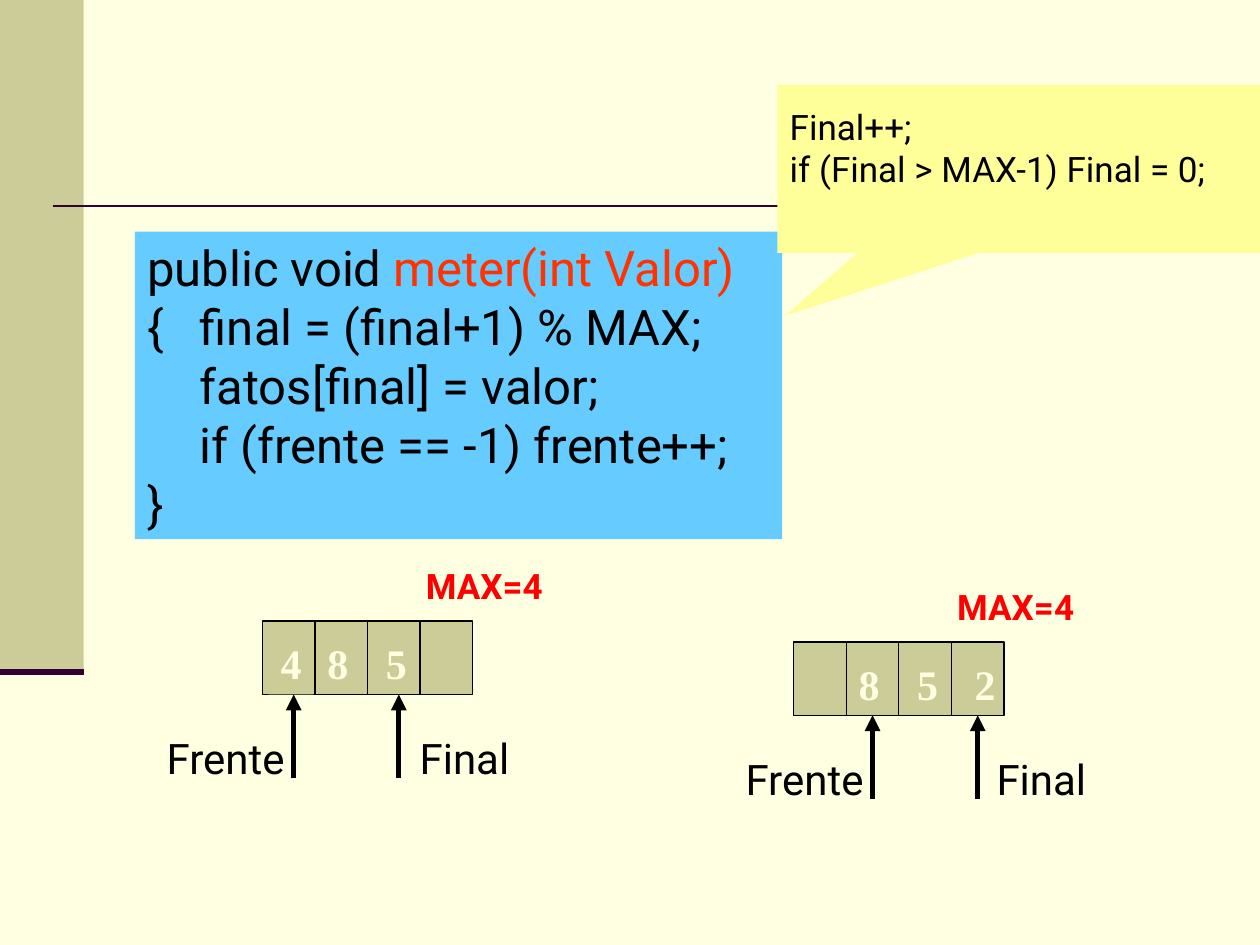
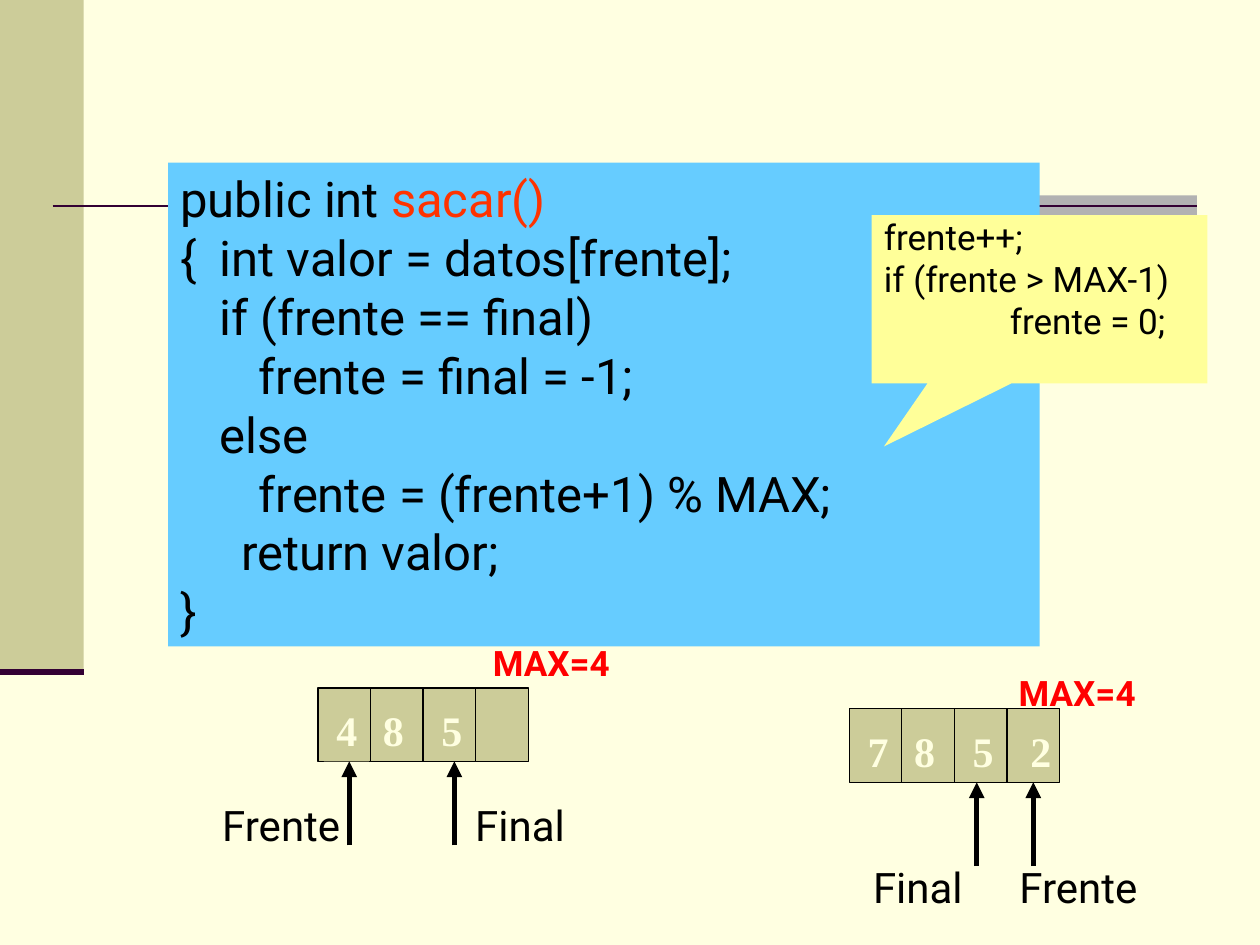
from lxml import etree
from pptx import Presentation
from pptx.dml.color import RGBColor
from pptx.enum.shapes import MSO_CONNECTOR, MSO_SHAPE
from pptx.enum.text import MSO_ANCHOR, MSO_AUTO_SIZE, PP_ALIGN
from pptx.oxml.ns import qn
from pptx.util import Cm, Pt

RECT = MSO_SHAPE.RECTANGLE
CALLOUT = MSO_SHAPE.RECTANGULAR_CALLOUT
STRAIGHT = MSO_CONNECTOR.STRAIGHT
TOP, MIDDLE = MSO_ANCHOR.TOP, MSO_ANCHOR.MIDDLE
LEFT, CENTER = PP_ALIGN.LEFT, PP_ALIGN.CENTER
FIT, NO_FIT = MSO_AUTO_SIZE.SHAPE_TO_FIT_TEXT, MSO_AUTO_SIZE.NONE

CREAM = RGBColor(0xFF, 0xFF, 0xE1)
KHAKI = RGBColor(0xCC, 0xCC, 0x99)
GRAY = RGBColor(0xB2, 0xB2, 0xB2)
PLUM = RGBColor(0x33, 0x00, 0x33)
BLUE = RGBColor(0x66, 0xCC, 0xFF)
YELLOW = RGBColor(0xFF, 0xFF, 0x99)
ORANGE = RGBColor(0xFF, 0x33, 0x00)
RED = RGBColor(0xFF, 0x00, 0x00)
BLACK = RGBColor(0x00, 0x00, 0x00)
SANS, SERIF = "Roboto", "Times New Roman"

CELL_W, CELL_H, ARROW = 1.06, 1.48, 1.69
DIGIT_X = [0.12, 1.06, 2.24, 3.4]


def add_box(slide, kind, x, y, w, h, fill, edge=None):
    box = slide.shapes.add_shape(kind, Cm(x), Cm(y), Cm(w), Cm(h))
    box.shadow.inherit = False
    box.fill.solid()
    box.fill.fore_color.rgb = fill
    if edge is None:
        box.line.fill.background()
    else:
        box.line.color.rgb = edge
        box.line.width = Pt(0.75)
    return box


def write(box, lines, size, font=SANS, bold=False, align=LEFT, anchor=TOP,
          wrap=False, fit=FIT, tab=None):
    frame = box.text_frame
    frame.word_wrap = wrap
    frame.auto_size = fit
    frame.vertical_anchor = anchor
    for i, line in enumerate(lines):
        para = frame.paragraphs[0] if i == 0 else frame.add_paragraph()
        para.alignment = align
        if tab:
            stops = etree.SubElement(para._p.get_or_add_pPr(), qn("a:tabLst"))
            for n in range(8):
                etree.SubElement(stops, qn("a:tab"), pos=str(Cm(n * tab)), algn="l")
        for text, color in line:
            run = para.add_run()
            run.text = text
            run.font.name = font
            run.font.size = Pt(size)
            run.font.bold = bold
            run.font.color.rgb = color


pages = [
    {
        "code": (2.72, 4.67, 13.05, 6.2), "step": 1.06, "wrap": False,
        "head": ("public void ", "meter(int Valor)"),
        "body": ["{\tfinal = (final+1) % MAX;", "\tfatos[final] = valor;",
                 "\tif (frente == -1) frente++;", "}"],
        "note": (15.67, 1.71, 9.73, 3.39), "tip": -0.485,
        "hint": ["Final++;", "if (Final > MAX-1) Final = 0;"],
        "queues": [
            {"at": (5.29, 12.52), "digits": "485 ", "arrows": [(0, 0.1), (2, 0.1)],
             "max": (3, -1.27), "final": (2.92, 2.12), "frente": (-2.18, 2.12)},
            {"at": (16, 12.94), "digits": " 852", "arrows": [(1, 0), (3, 0)],
             "max": (3, -1.27), "final": (3.84, 2.12), "frente": (-1.22, 2.12)},
        ],
    },
    {
        "code": (3.39, 3.28, 17.57, 9.75), "step": 0.79, "wrap": True,
        "head": ("public int ", "sacar()"),
        "body": ["{\tint valor = datos[frente];", "\tif (frente == final)",
                 "\t\tfrente = final = -1;", "\telse",
                 "\t\tfrente = (frente+1) % MAX;", "     return valor;", "}"],
        "note": (17.57, 4.34, 6.77, 3.39), "tip": -0.463,
        "hint": ["frente++;", "if (frente > MAX-1)", "\tfrente = 0;"],
        "queues": [
            {"at": (6.41, 13.87), "digits": "485 ", "arrows": [(0, 0.1), (2, 0.1)],
             "max": (3.23, -1.07), "final": (2.92, 2.12), "frente": (-2.18, 2.12)},
            {"at": (17.12, 14.29), "digits": "7852", "arrows": [(2, -0.08), (3, 0)],
             "max": (3.12, -0.89), "final": (0.23, 2.95), "frente": (3.18, 2.95)},
        ],
    },
]

deck = Presentation()
deck.slide_width, deck.slide_height = Cm(25.4), Cm(19.05)
layout = deck.slide_layouts[6]
back = deck.slide_master.background.fill
back.solid()
back.fore_color.rgb = CREAM
slides = [deck.slides.add_slide(layout) for page in pages]

links = []
frame = [add_box(slides[0], RECT, 0, 0, 1.69, 13.55, KHAKI),
         add_box(slides[0], RECT, 19.05, 3.94, 5.08, 0.51, GRAY)]
for x1, x2, y, width in [(1.06, 24.13, 4.15, 1.5), (0, 1.69, 13.55, 3.5)]:
    rule = slides[0].shapes.add_connector(STRAIGHT, Cm(x1), Cm(y), Cm(x2), Cm(y))
    frame.append(rule)
    links.append((rule, PLUM, width, False))
for i, part in enumerate(frame):
    part._element.xpath(".//p:cNvPr")[0].set("id", str(20 + i))
    layout.shapes._spTree.append(part._element)

for slide, page in zip(slides, pages):
    code = add_box(slide, RECT, *page["code"], BLUE)
    start, name = page["head"]
    lines = [[(start, BLACK), (name, ORANGE)]]
    lines += [[(text, BLACK)] for text in page["body"]]
    write(code, lines, 28, wrap=page["wrap"], tab=page["step"])

    for queue in page["queues"]:
        left, top = queue["at"]
        base = top + CELL_H
        cells = [add_box(slide, RECT, left + i * CELL_W, top, CELL_W, CELL_H, KHAKI, BLACK)
                 for i in range(4)]
        for digit, shift in zip(queue["digits"], DIGIT_X):
            if digit == " ":
                continue
            box = slide.shapes.add_textbox(Cm(left + shift), Cm(top + 0.21), Cm(0.91), Cm(1.27))
            if digit == "4":
                box.fill.solid()
                box.fill.fore_color.rgb = KHAKI
            write(box, [[(digit, CREAM)]], 24, SERIF, True, CENTER, MIDDLE)

        for i, nudge in queue["arrows"]:
            x = left + (i + 0.5) * CELL_W + nudge
            arrow = slide.shapes.add_connector(STRAIGHT, Cm(x), Cm(base + ARROW), Cm(x), Cm(base))
            if nudge == 0:
                arrow.end_connect(cells[i], 2)
            links.append((arrow, BLACK, 3, True))

        for text, key, width, height, size, color, bold, align, anchor in [
            ("MAX=4", "max", 2.95, 1.12, 20, RED, True, CENTER, MIDDLE),
            ("Final", "final", 2.39, 1.27, 24, BLACK, False, LEFT, TOP),
            ("Frente", "frente", 3.07, 1.27, 24, BLACK, False, LEFT, TOP),
        ]:
            dx, dy = queue[key]
            box = slide.shapes.add_textbox(Cm(left + dx), Cm(top + dy), Cm(width), Cm(height))
            write(box, [[(text, color)]], size, SANS, bold, align, anchor)

    note = add_box(slide, CALLOUT, *page["note"], YELLOW)
    note.adjustments[0], note.adjustments[1] = page["tip"], 0.875
    note.text_frame.margin_bottom = Cm(0.97)
    write(note, [[(text, BLACK)] for text in page["hint"]], 20,
          anchor=MIDDLE, wrap=True, fit=NO_FIT, tab=2.54)

for link, color, width, head in links:
    link.line.color.rgb = color
    link.line.width = Pt(width)
    if head:
        etree.SubElement(link.line._get_or_add_ln(), qn("a:tailEnd"), type="triangle")
    etree.SubElement(link._element.spPr, qn("a:effectLst"))

deck.save("out.pptx")
